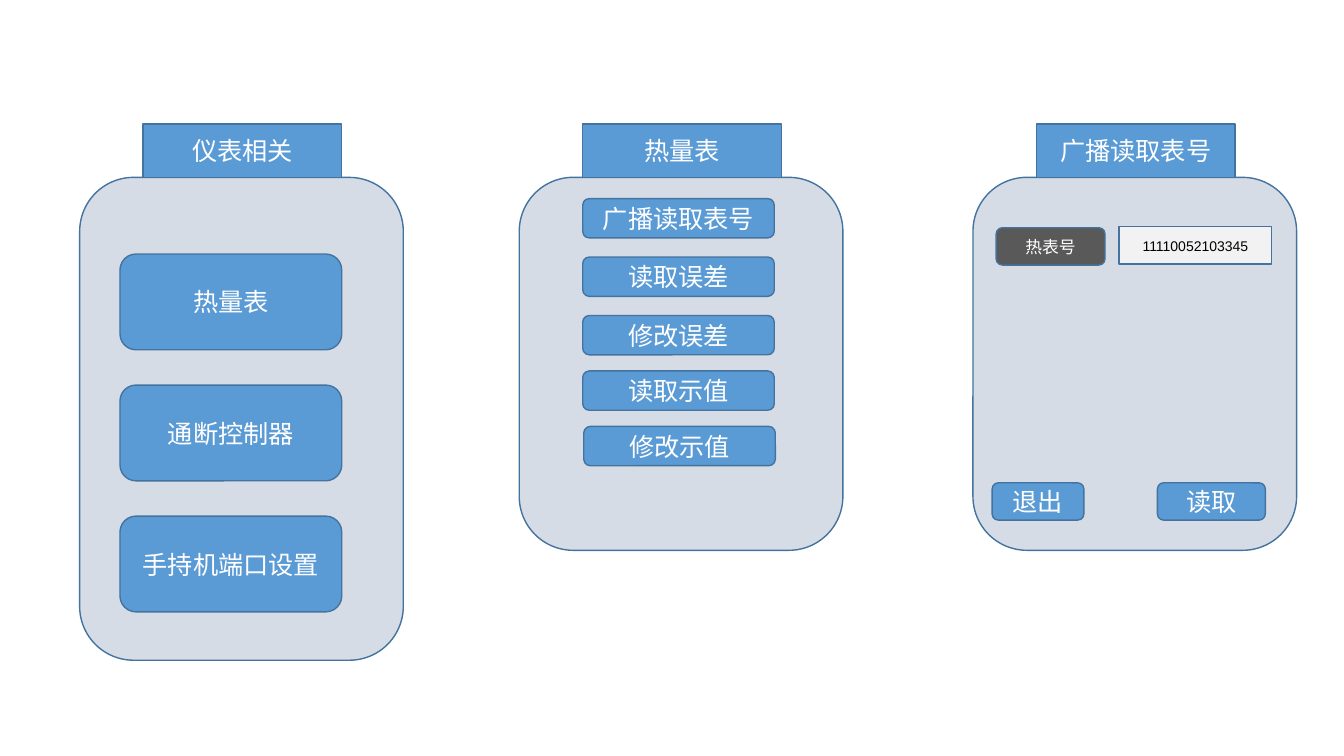
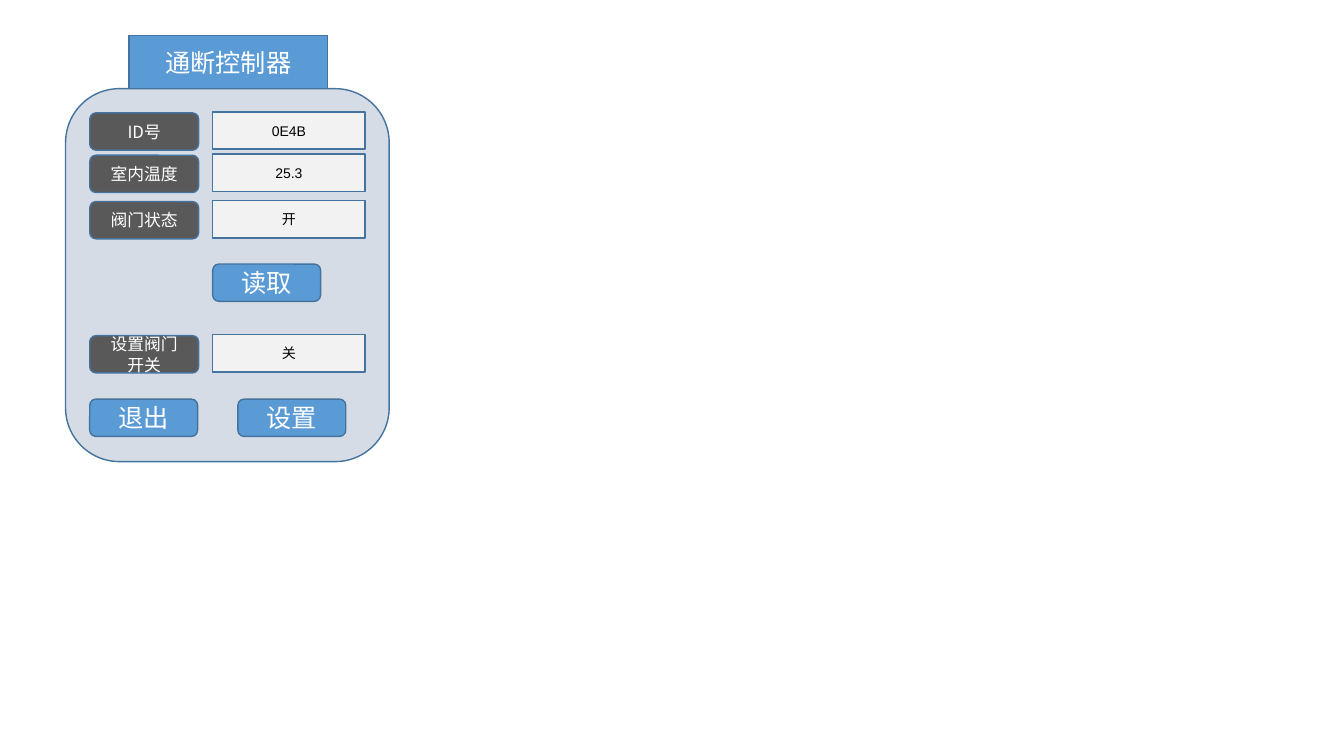
from pptx import Presentation
from pptx.dml.color import RGBColor
from pptx.enum.shapes import MSO_SHAPE as SHAPE
from pptx.enum.text import MSO_ANCHOR, PP_ALIGN
from pptx.oxml.ns import qn
from pptx.util import Inches, Pt
from lxml import etree

BLUE, EDGE, PANEL = "5B9BD5", "43739E", "D6DCE5"
LABEL, FIELD, WHITE, BLACK = "595959", "F2F2F2", "FFFFFF", "000000"
CJK, LATIN = "Noto Sans CJK SC", "Arial"


def rgb(value):
    return RGBColor.from_string(value)


def add_box(s, text, x, y, w, h, shape=SHAPE.ROUNDED_RECTANGLE, fill=BLUE,
            size=18, font=CJK, color=WHITE):
    sp = s.shapes.add_shape(shape, Inches(x), Inches(y), Inches(w), Inches(h))
    sp.shadow.inherit = False
    sp.fill.solid()
    sp.fill.fore_color.rgb = rgb(fill)
    sp.line.color.rgb = rgb(EDGE)
    sp.line.width = Pt(1)
    tf = sp.text_frame
    tf.word_wrap = True
    tf.vertical_anchor = MSO_ANCHOR.MIDDLE
    if not text:
        return
    for i, line in enumerate(text.split("\n")):
        p = tf.paragraphs[0] if i == 0 else tf.add_paragraph()
        p.alignment = PP_ALIGN.CENTER
        r = p.add_run()
        r.text = line
        r.font.size = Pt(size)
        r.font.name = font
        r.font.color.rgb = rgb(color)
        # East Asian glyphs need their own typeface entry
        etree.SubElement(r.font._element, qn("a:ea"), typeface=font)


prs = Presentation()
prs.slide_width, prs.slide_height = Inches(13.33), Inches(7.5)
menus, controller = [prs.slides.add_slide(prs.slide_layouts[6]) for _ in range(2)]

# Device screens: rounded panel with a title tab on top
for s, title, x, y, h in [
    (menus, "仪表相关", 0.79, 1.76, 4.79),
    (menus, "热量表", 5.15, 1.76, 3.7),
    (menus, "广播读取表号", 9.65, 1.76, 3.7),
    (controller, "通断控制器", 0.65, 0.88, 3.7),
]:
    add_box(s, "", x, y, 3.21, h, fill=PANEL)
    add_box(s, title, x + 0.63, y - 0.53, 1.97, 0.53, shape=SHAPE.RECTANGLE)

# Main menu
for i, text in enumerate(["热量表", "通断控制器", "手持机端口设置"]):
    add_box(menus, text, 1.19, 2.52 + 1.3 * i, 2.2, 0.95)

# Heat meter menu
for text, x, y in [
    ("广播读取表号", 5.78, 1.97),
    ("读取误差", 5.78, 2.55),
    ("修改误差", 5.78, 3.13),
    ("读取示值", 5.78, 3.68),
    ("修改示值", 5.79, 4.23),
]:
    add_box(menus, text, x, y, 1.9, 0.39)

# Labels with their value fields
for s, label, value, x, y in [
    (menus, "热表号", "11110052103345", 9.88, 2.26),
    (controller, "ID号", "0E4B", 0.89, 1.12),
    (controller, "室内温度", "25.3", 0.89, 1.54),
    (controller, "阀门状态", "开", 0.89, 2.0),
    (controller, "设置阀门\n开关", "关", 0.89, 3.33),
]:
    add_box(s, label, x, y, 1.08, 0.37, fill=LABEL, size=12)
    add_box(s, value, x + 1.22, y - 0.01, 1.51, 0.37, shape=SHAPE.RECTANGLE,
            fill=FIELD, size=10, font=LATIN, color=BLACK)

# Action buttons
for s, text, x, y, w in [
    (menus, "退出", 9.84, 4.79, 0.91),
    (menus, "读取", 11.48, 4.79, 1.07),
    (controller, "读取", 2.11, 2.62, 1.07),
    (controller, "退出", 0.89, 3.96, 1.07),
    (controller, "设置", 2.36, 3.96, 1.07),
]:
    add_box(s, text, x, y, w, 0.37)

prs.save("out.pptx")
